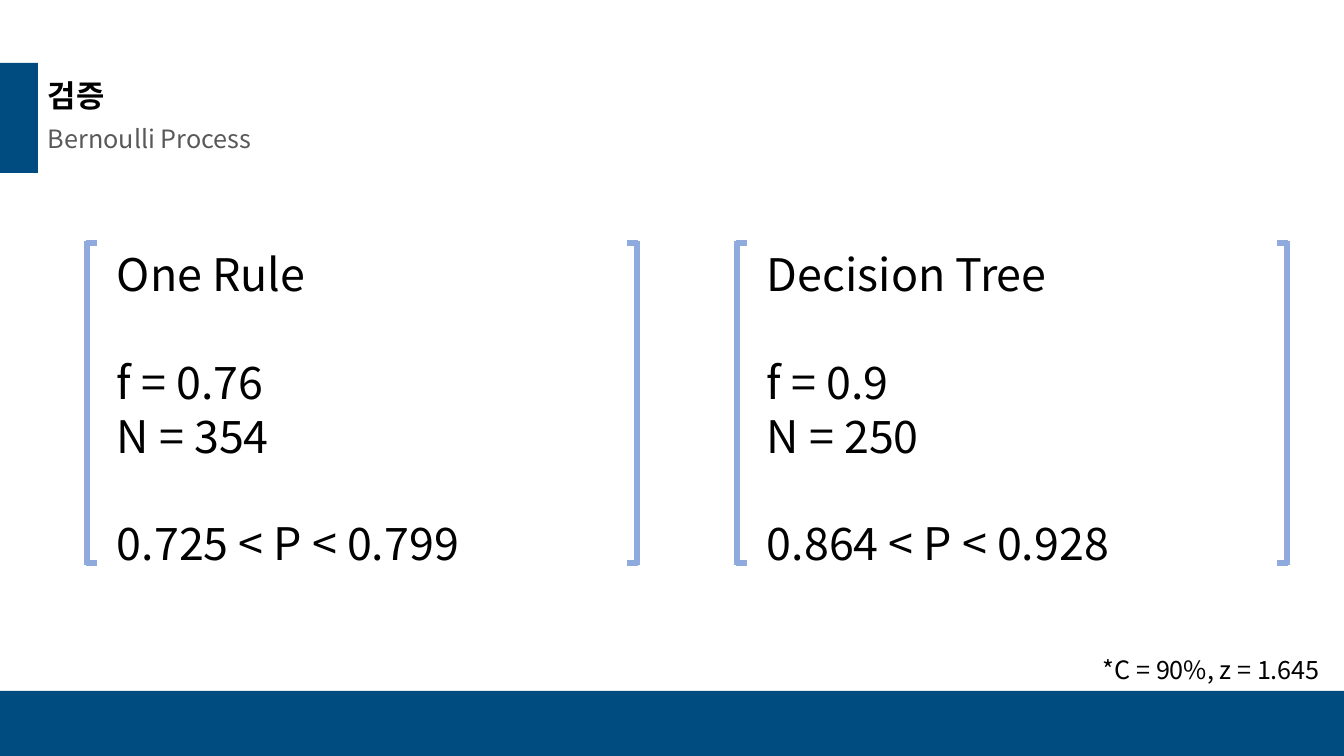
from dataclasses import dataclass

from lxml.etree import SubElement
from pptx import Presentation
from pptx.dml.color import RGBColor
from pptx.enum.shapes import MSO_CONNECTOR, MSO_SHAPE
from pptx.enum.text import MSO_ANCHOR, MSO_AUTO_SIZE
from pptx.oxml.ns import qn
from pptx.util import Emu, Pt

# Content
TITLE = "검증"
SUBTITLE = "Bernoulli Process"
MODELS = [
    # each inner list is a block of lines, set apart by one line of space
    [["One Rule"], ["f = 0.76", "N = 354"], ["0.725 < P < 0.799"]],
    [["Decision Tree"], ["f = 0.9", "N = 250"], ["0.864 < P < 0.928"]],
]
FOOTNOTE = "*C = 90%, z = 1.645"


@dataclass(frozen=True)
class Theme:
    font: str = "Noto Sans CJK KR"
    navy: RGBColor = RGBColor(0x00, 0x4C, 0x80)
    bracket: RGBColor = RGBColor(0x8F, 0xAA, 0xDC)
    ink: RGBColor = RGBColor(0x00, 0x00, 0x00)
    grey: RGBColor = RGBColor(0x59, 0x59, 0x59)
    title_size: int = 22
    small_size: int = 18
    model_size: int = 32
    block_gap: float = 38.4
    bracket_weight: int = 4


THEME = Theme()

# Layout in px
SLIDE_W, SLIDE_H = 1344, 756
MODEL_LEFT, MODEL_PITCH, MODEL_W = 87, 650, 550
BRACKET_TOP, BRACKET_BOTTOM = 241, 565
TICK_INSET, TICK_W = 2, 11
MODEL_TEXT_INSET, MODEL_TEXT_W = 20, 510


def px(length):
    return Emu(round(length * 914400 / 100.8))


def add_band(slide, left, top, width, height):
    band = slide.shapes.add_shape(
        MSO_SHAPE.RECTANGLE, px(left), px(top), px(width), px(height))
    band.shadow.inherit = False
    band.fill.solid()
    band.fill.fore_color.rgb = THEME.navy
    band.line.fill.background()


def add_text(slide, box, lines, size, color=THEME.ink, bold=False):
    frame = slide.shapes.add_textbox(*map(px, box)).text_frame
    frame.word_wrap = True
    frame.text = "\n".join(lines)
    for paragraph in frame.paragraphs:
        for run in paragraph.runs:
            run.font.name = THEME.font
            run.font.size = Pt(size)
            run.font.bold = bold
            run.font.color.rgb = color
            east_asian = SubElement(run.font._element, qn("a:ea"))
            east_asian.set("typeface", THEME.font)
    return frame


def add_heading(slide, top, line, size, color, bold):
    frame = add_text(slide, (38, top, 334, 43), [line], size, color, bold)
    frame.vertical_anchor = MSO_ANCHOR.MIDDLE
    frame.paragraphs[0].line_spacing = 0.9
    frame.paragraphs[0].space_before = Pt(10)


def add_brackets(slide, left):
    brackets = slide.shapes.add_group_shape()
    top_tick, bottom_tick = BRACKET_TOP + TICK_INSET, BRACKET_BOTTOM - TICK_INSET
    for spine, inward in ((left, 1), (left + MODEL_W, -1)):
        outer, inner = spine - inward, spine + inward * (TICK_W - 1)
        for x1, y1, x2, y2 in (
            (spine, BRACKET_TOP, spine, BRACKET_BOTTOM),
            (inner, top_tick, outer, top_tick),
            (inner, bottom_tick, outer, bottom_tick),
        ):
            stroke = brackets.shapes.add_connector(
                MSO_CONNECTOR.STRAIGHT, px(x1), px(y1), px(x2), px(y2))
            stroke.line.color.rgb = THEME.bracket
            stroke.line.width = Pt(THEME.bracket_weight)
            SubElement(stroke._element.spPr, qn("a:effectLst"))


def add_model(slide, left, blocks):
    add_brackets(slide, left)
    lines = [line for block in blocks for line in block]
    box = (left + MODEL_TEXT_INSET, BRACKET_TOP + 1, MODEL_TEXT_W, 336)
    frame = add_text(slide, box, lines, THEME.model_size)
    # Open a one-line gap above every block after the first
    first_line = 0
    for block in blocks[:-1]:
        first_line += len(block)
        frame.paragraphs[first_line].space_before = Pt(THEME.block_gap)


def main():
    deck = Presentation()
    deck.slide_width, deck.slide_height = px(SLIDE_W), px(SLIDE_H)
    slide = deck.slides.add_slide(deck.slide_layouts[6])

    # Footer band and heading marker
    add_band(slide, 0, 691, SLIDE_W, SLIDE_H - 691)
    add_band(slide, 0, 63, 38, 110)

    # Heading
    add_heading(slide, 76, TITLE, THEME.title_size, THEME.ink, True)
    add_heading(slide, 119, SUBTITLE, THEME.small_size, THEME.grey, False)

    # Bracketed models
    for column, blocks in enumerate(MODELS):
        add_model(slide, MODEL_LEFT + column * MODEL_PITCH, blocks)

    # Footnote
    footnote = add_text(slide, (1093, 649, 251, 40), [FOOTNOTE], THEME.small_size)
    footnote.auto_size = MSO_AUTO_SIZE.SHAPE_TO_FIT_TEXT

    deck.save("out.pptx")


if __name__ == "__main__":
    main()
